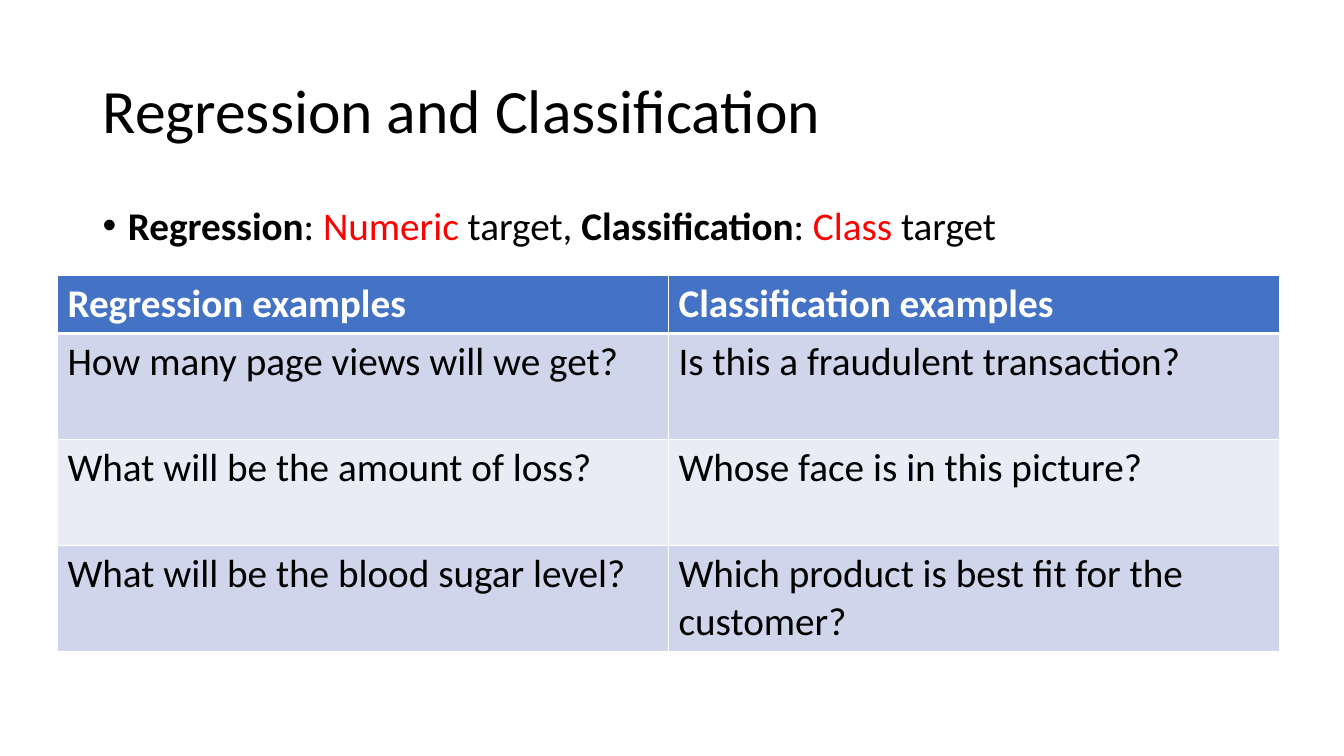
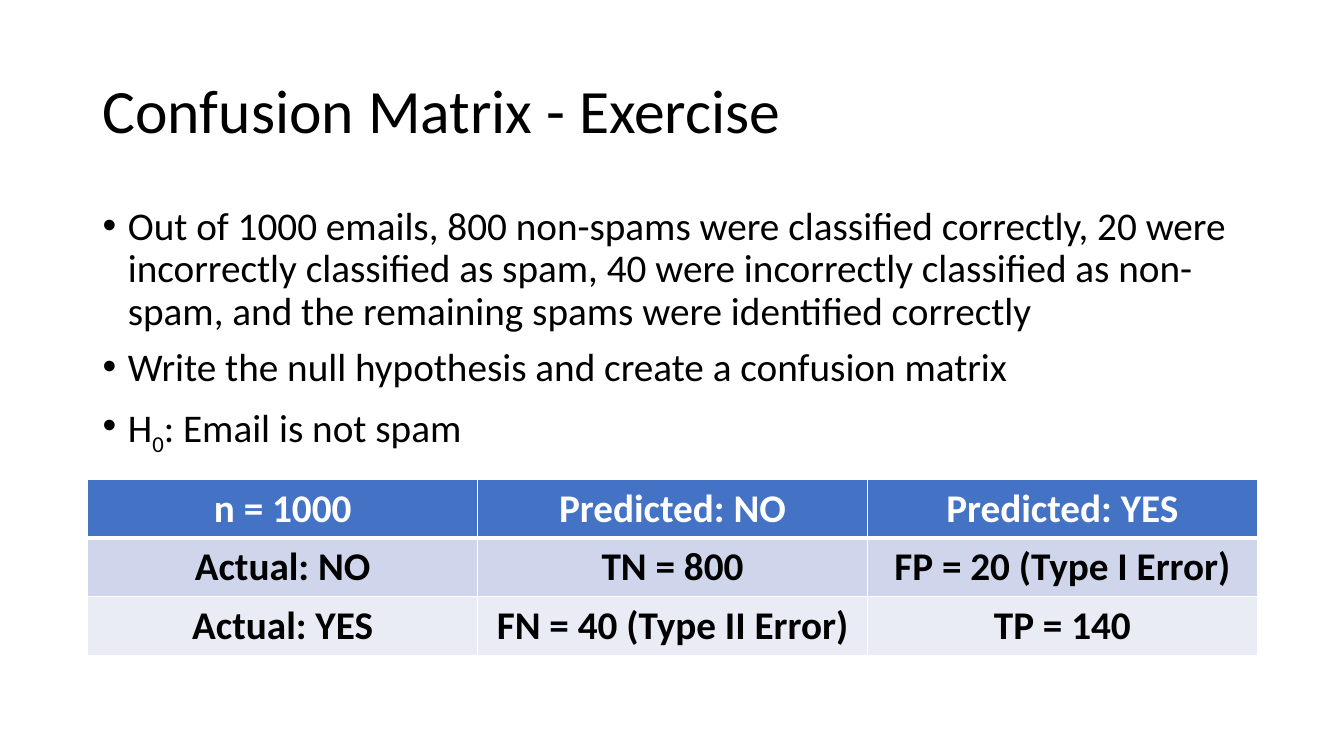
from dataclasses import dataclass

from lxml import etree
from pptx import Presentation
from pptx.dml.color import RGBColor
from pptx.enum import text
from pptx.oxml.ns import qn
from pptx.util import Inches, Pt

FONT = "Calibri"
BODY_SIZE = 28
TITLE_SIZE = 44
BLACK = RGBColor(0x00, 0x00, 0x00)
WHITE = RGBColor(0xFF, 0xFF, 0xFF)
RED = RGBColor(0xFF, 0x00, 0x00)
HEADER = RGBColor(0x44, 0x72, 0xC4)
BANDS = (RGBColor(0xCF, 0xD5, 0xEA), RGBColor(0xE9, 0xEB, 0xF5))
LEFT = text.PP_ALIGN.LEFT
CENTER = text.PP_ALIGN.CENTER


@dataclass(frozen=True)
class Span:
    text: str
    bold: bool = False
    color: RGBColor = BLACK
    subscript: bool = False


@dataclass(frozen=True)
class Grid:
    left: float
    top: float
    width: float
    row_heights: tuple[float, ...]
    rows: tuple[tuple[str, ...], ...]
    align: text.PP_ALIGN = LEFT
    bold_body: bool = False


@dataclass(frozen=True)
class Page:
    title: str
    bullets: tuple[tuple[Span, ...], ...]
    grid: Grid


PAGES = (
    Page(
        "Regression and Classification",
        ((
            Span("Regression", bold=True),
            Span(": "),
            Span("Numeric", color=RED),
            Span(" target, "),
            Span("Classification", bold=True),
            Span(": "),
            Span("Class", color=RED),
            Span(" target"),
        ),),
        Grid(0.57, 2.73, 12.12, (0.58, 1.05, 1.05, 1.05), (
            ("Regression examples", "Classification examples"),
            ("How many page views will we get?", "Is this a fraudulent transaction?"),
            ("What will be the amount of loss?", "Whose face is in this picture?"),
            ("What will be the blood sugar level?",
             "Which product is best fit for the customer?"),
        )),
    ),
    Page(
        "Confusion Matrix - Exercise",
        (
            (Span("Out of 1000 emails, 800 non-spams were classified correctly, "
                  "20 were incorrectly classified as spam, 40 were incorrectly "
                  "classified as non-spam, and the remaining spams were "
                  "identified correctly"),),
            (Span("Write the null hypothesis and create a confusion matrix"),),
            (Span("H"), Span("0", subscript=True), Span(": Email is not spam")),
        ),
        Grid(0.87, 4.76, 11.6, (0.58, 0.58, 0.58), (
            ("n = 1000", "Predicted: NO", "Predicted: YES"),
            ("Actual: NO", "TN = 800", "FP = 20 (Type I Error)"),
            ("Actual: YES", "FN = 40 (Type II Error)", "TP = 140"),
        ), CENTER, bold_body=True),
    ),
)


def format_run(r, size: int, color: RGBColor = BLACK, bold: bool = False) -> None:
    r.font.name = FONT
    r.font.size = Pt(size)
    r.font.bold = bold
    r.font.color.rgb = color


def add_text_frame(s, top: float, height: float, anchor: text.MSO_ANCHOR):
    sp = s.shapes.add_textbox(Inches(0.92), Inches(top), Inches(11.5), Inches(height))
    tf = sp.text_frame
    tf.word_wrap = True
    tf.vertical_anchor = anchor
    return tf


def add_title(s, title: str) -> None:
    tf = add_text_frame(s, 0.4, 1.45, text.MSO_ANCHOR.MIDDLE)
    tf.text = title
    p = tf.paragraphs[0]
    p.line_spacing = 0.9
    format_run(p.runs[0], TITLE_SIZE)


def add_bullets(s, bullets: tuple[tuple[Span, ...], ...]) -> None:
    tf = add_text_frame(s, 2, 4.76, text.MSO_ANCHOR.TOP)
    for i, spans in enumerate(bullets):
        p = tf.add_paragraph() if i else tf.paragraphs[0]
        p.line_spacing = 0.9
        p.space_before = Pt(10)
        p_pr = p._p.get_or_add_pPr()
        p_pr.set("marL", str(Inches(0.25)))
        p_pr.set("indent", str(-Inches(0.25)))
        etree.SubElement(p_pr, qn("a:buFont"), typeface="Arial")
        etree.SubElement(p_pr, qn("a:buChar"), char="•")
        for span in spans:
            r = p.add_run()
            r.text = span.text
            format_run(r, BODY_SIZE, span.color, span.bold)
            if span.subscript:
                r._r.get_or_add_rPr().set("baseline", "-25000")


def set_borders(cell, top: int, bottom: int) -> None:
    tc_pr = cell._tc.get_or_add_tcPr()
    for side, width in (("L", 1), ("R", 1), ("T", top), ("B", bottom)):
        ln = etree.SubElement(tc_pr, qn(f"a:ln{side}"), w=str(Pt(width)))
        fill = etree.SubElement(ln, qn("a:solidFill"))
        etree.SubElement(fill, qn("a:srgbClr"), val=str(WHITE))


def add_grid(s, grid: Grid) -> None:
    n_cols = len(grid.rows[0])
    table = s.shapes.add_table(
        len(grid.rows), n_cols, Inches(grid.left), Inches(grid.top),
        Inches(grid.width), Inches(sum(grid.row_heights))).table
    for col in table.columns:
        col.width = Inches(grid.width / n_cols)
    for i, (height, labels) in enumerate(zip(grid.row_heights, grid.rows)):
        table.rows[i].height = Inches(height)
        is_header = i == 0
        for j, label in enumerate(labels):
            cell = table.cell(i, j)
            set_borders(cell, 3 if i == 1 else 1, 3 if is_header else 1)
            cell.fill.solid()
            cell.fill.fore_color.rgb = HEADER if is_header else BANDS[(i - 1) % 2]
            cell.text_frame.text = label
            p = cell.text_frame.paragraphs[0]
            p.alignment = grid.align
            format_run(p.runs[0], BODY_SIZE, WHITE if is_header else BLACK,
                       is_header or grid.bold_body)


def main() -> None:
    prs = Presentation()
    prs.slide_width = Inches(13.33)
    prs.slide_height = Inches(7.5)
    for page in PAGES:
        s = prs.slides.add_slide(prs.slide_layouts[6])
        add_title(s, page.title)
        add_bullets(s, page.bullets)
        add_grid(s, page.grid)
    prs.save("out.pptx")


if __name__ == "__main__":
    main()
